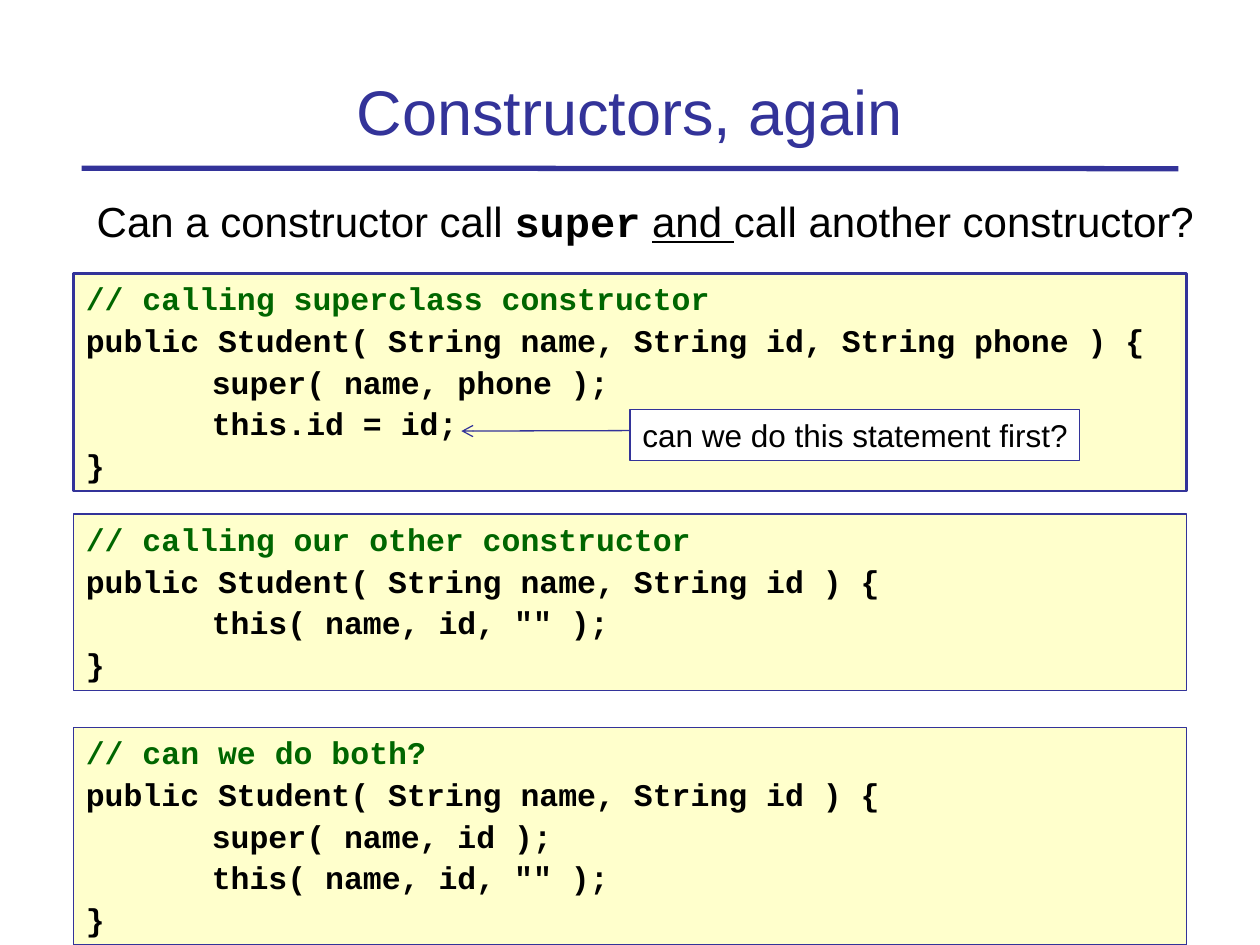
"""Build the slide on constructors that call super and other constructors."""
from dataclasses import dataclass

from lxml.etree import SubElement
from pptx import Presentation
from pptx.dml.color import RGBColor
from pptx.enum.shapes import MSO_CONNECTOR, MSO_SHAPE
from pptx.enum.text import MSO_ANCHOR, PP_ALIGN
from pptx.oxml.ns import qn
from pptx.util import Cm, Pt


@dataclass(frozen=True)
class Theme:
    accent: RGBColor = RGBColor(0x33, 0x33, 0x99)
    ink: RGBColor = RGBColor(0, 0, 0)
    comment: RGBColor = RGBColor(0, 0x66, 0)
    code_fill: RGBColor = RGBColor(0xFF, 0xFF, 0xCC)
    paper: RGBColor = RGBColor(0xFF, 0xFF, 0xFF)
    sans: str = "Arial"
    mono: str = "Courier New"
    title_size: int = 36
    question_size: int = 24
    small_size: int = 18


class SlideBuilder:
    def __init__(self, slide, theme):
        self.slide = slide
        self.theme = theme

    def style(self, run, size, color, family=None, bold=False, underline=False):
        run.font.size = Pt(size)
        run.font.color.rgb = color
        run.font.name = family or self.theme.sans
        run.font.bold = bold
        run.font.underline = underline

    def text_box(self, left, top, width, height, anchor=MSO_ANCHOR.TOP):
        frame = self.slide.shapes.add_textbox(Cm(left), Cm(top), Cm(width), Cm(height)).text_frame
        frame.word_wrap = True
        frame.vertical_anchor = anchor
        return frame

    def title(self, text, left, top, width, height):
        frame = self.text_box(left, top, width, height, MSO_ANCHOR.BOTTOM)
        frame.text = text
        heading = frame.paragraphs[0]
        heading.alignment = PP_ALIGN.CENTER
        self.style(heading.runs[0], self.theme.title_size, self.theme.accent)

    def question(self, pieces, left, top, width, height):
        sentence = self.text_box(left, top, width, height).paragraphs[0]
        for text, emphasis in pieces:
            run = sentence.add_run()
            run.text = text
            self.style(run, self.theme.question_size, self.theme.ink, **emphasis)

    def panel(self, text, left, top, width, height, fill, weight, wrap=True):
        panel = self.slide.shapes.add_shape(
            MSO_SHAPE.RECTANGLE, Cm(left), Cm(top), Cm(width), Cm(height))
        panel.shadow.inherit = False
        panel.fill.solid()
        panel.fill.fore_color.rgb = fill
        panel.line.color.rgb = self.theme.accent
        panel.line.width = Pt(weight)
        frame = panel.text_frame
        frame.word_wrap = wrap
        frame.vertical_anchor = MSO_ANCHOR.TOP
        frame.text = text
        for paragraph in frame.paragraphs:
            paragraph.alignment = PP_ALIGN.LEFT
        return frame.paragraphs

    def code(self, lines, top, weight=0.75):
        height = 0.83 * len(lines) + 0.24
        paragraphs = self.panel(
            "\n".join(lines), 1.48, top, 22.44, height, self.theme.code_fill, weight)
        for index, paragraph in enumerate(paragraphs):
            stops = SubElement(paragraph._p.get_or_add_pPr(), qn("a:tabLst"))
            SubElement(stops, qn("a:tab"), pos=str(Cm(2.54)), algn="l")
            if index:
                paragraph.space_before = Pt(2.2)
            color = self.theme.ink if index else self.theme.comment
            self.style(paragraph.runs[0], self.theme.small_size, color, self.theme.mono, bold=True)

    def callout(self, text, left, top, width, height):
        remark = self.panel(text, left, top, width, height, self.theme.paper, 0.75, wrap=False)[0]
        self.style(remark.runs[0], self.theme.small_size, self.theme.ink)

    def line(self, start, end, weight, cap="flat", arrow=False):
        line = self.slide.shapes.add_connector(
            MSO_CONNECTOR.STRAIGHT, *map(Cm, start), *map(Cm, end))
        line.line.color.rgb = self.theme.accent
        line.line.width = Pt(weight)
        outline = line.line._get_or_add_ln()
        outline.set("cap", cap)
        if arrow:
            SubElement(outline, qn("a:tailEnd"), type="arrow")
        SubElement(line._element.spPr, qn("a:effectLst"))


def main():
    deck = Presentation()
    deck.slide_width, deck.slide_height = Cm(25.4), Cm(19.05)
    theme = Theme()
    builder = SlideBuilder(deck.slides.add_slide(deck.slide_layouts[6]), theme)

    builder.line((1.7, 3.39), (23.7, 3.4), 3, cap="sq")
    builder.title("Constructors, again", 1.7, 0.71, 22, 2.41)
    builder.question([
        ("Can a constructor call ", {}),
        ("super", {"family": theme.mono, "bold": True}),
        (" ", {}),
        ("and ", {"underline": True}),
        ("call another constructor?", {}),
    ], 1.7, 3.81, 22.86, 1.7)

    two_argument_header = "public Student( String name, String id ) {"
    this_call = '\tthis( name, id, "" );'
    builder.code([
        "// calling superclass constructor",
        "public Student( String name, String id, String phone ) {",
        "\tsuper( name, phone );",
        "\tthis.id = id;",
        "}",
    ], 5.51, weight=1.5)
    builder.code(
        ["// calling our other constructor", two_argument_header, this_call, "}"], 10.36)
    builder.code(
        ["// can we do both?", two_argument_header, "\tsuper( name, id );", this_call, "}"], 14.66)

    builder.callout("can we do this statement first?", 12.7, 8.26, 9.07, 1.02)
    builder.line((12.7, 8.68), (9.3, 8.69), 0.75, arrow=True)
    deck.save("out.pptx")


if __name__ == "__main__":
    main()
